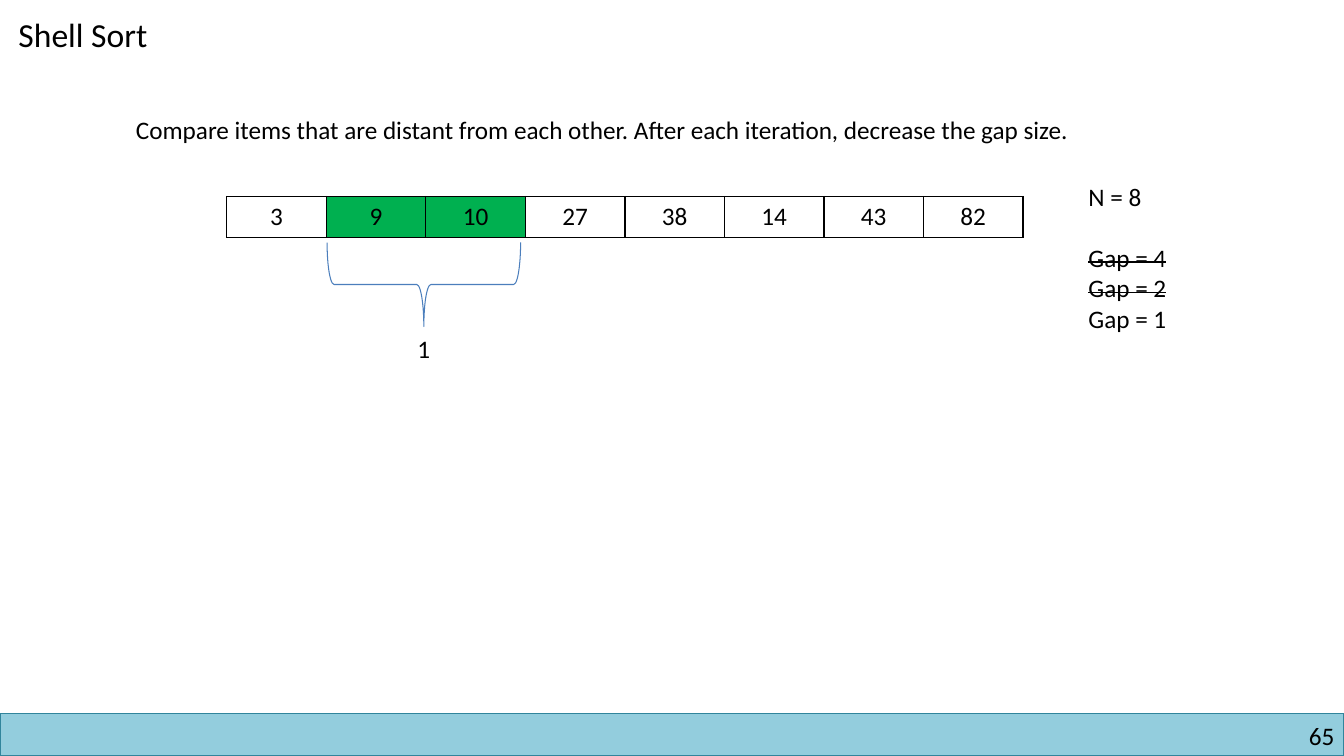
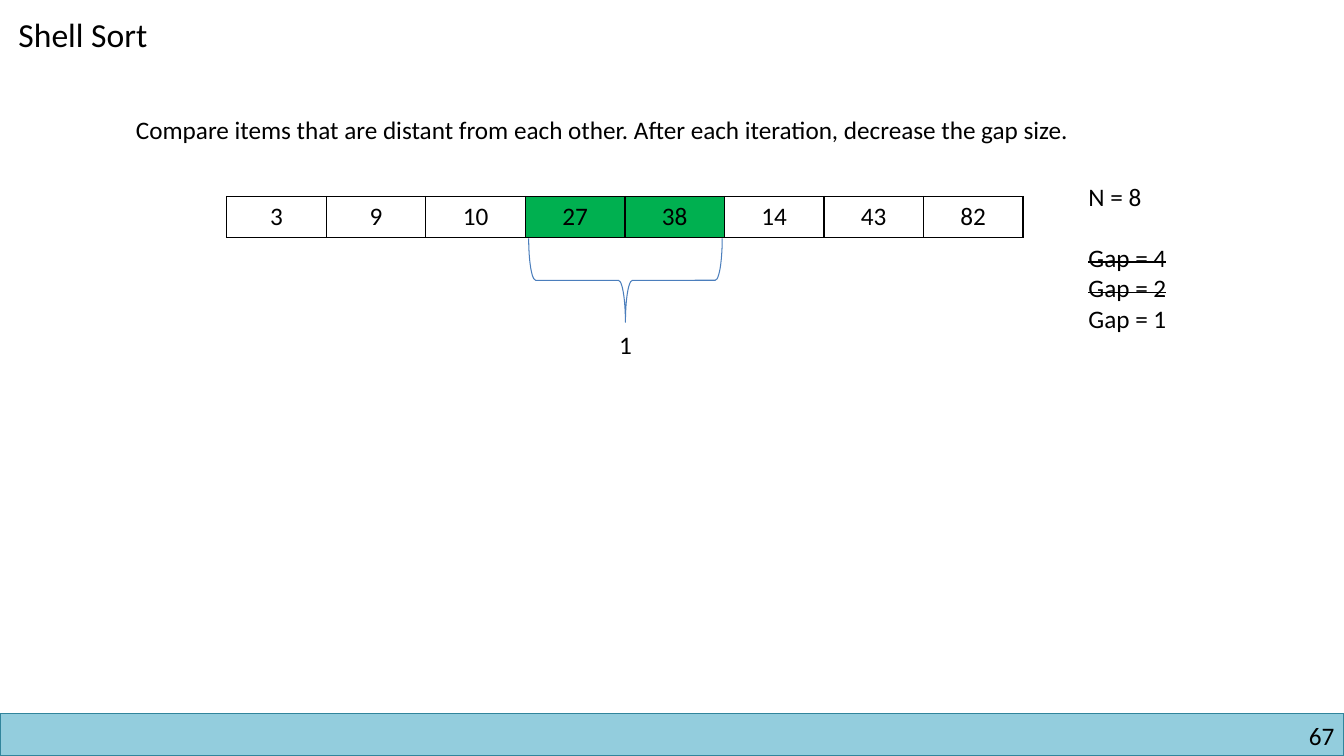
from dataclasses import dataclass
from lxml import etree
from pptx import Presentation
from pptx.dml.color import RGBColor
from pptx.enum.shapes import MSO_SHAPE
from pptx.enum.text import MSO_ANCHOR, PP_ALIGN
from pptx.oxml.ns import qn
from pptx.util import Pt

TITLE = "Shell Sort"
RULE = "Compare items that are distant from each other. After each iteration, decrease the gap size."
ITEMS = [3, 9, 10, 27, 38, 14, 43, 82]
NOTES = [("N = 8", False, 0), ("Gap = 4", True, 22), ("Gap = 2", True, 0), ("Gap = 1", False, 0)]
STEPS = [
    {"page": "65", "compared": (1, 2), "brace": (302.76, 173.2), "gap": "1"},
    {"page": "67", "compared": (3, 4), "brace": (446.76, 170.2), "gap": "1"},
]


@dataclass(frozen=True)
class Theme:
    font: str = "Calibri"
    title: int = 24
    body: int = 18
    text: str = "000000"
    cell: str = "FFFFFF"
    mark: str = "00B050"
    band: str = "93CDDD"
    band_line: str = "31859C"
    brace: str = "4B7EBC"


T = Theme()
W, H = 960, 540
BAND_H = 30.24
TABLE_X, TABLE_Y, CELL_W, CELL_H = 162, 140.4, 71.1, 29.5
BRACE_W, BRACE_H = 138.24, 60
LABEL_W, LABEL_H = 24.5, 29


def rgb(value):
    return RGBColor.from_string(value)


def style(p, size=T.body, align=PP_ALIGN.LEFT):
    p.alignment = align
    p.font.name = T.font
    p.font.size = Pt(size)
    p.font.color.rgb = rgb(T.text)


def outline(sp, color, width):
    sp.shadow.inherit = False
    sp.line.color.rgb = rgb(color)
    sp.line.width = Pt(width)


def add_text(slide, x, y, w, h, text, align=PP_ALIGN.LEFT, inset=True):
    tf = slide.shapes.add_textbox(Pt(x), Pt(y), Pt(w), Pt(h)).text_frame
    tf.word_wrap = True
    if not inset:
        tf.margin_left = tf.margin_right = tf.margin_top = tf.margin_bottom = 0
    tf.text = text
    for p in tf.paragraphs:
        style(p, align=align)
    return tf


def add_frame(slide, page):
    band = slide.shapes.add_shape(MSO_SHAPE.RECTANGLE, 0, Pt(H - BAND_H), Pt(W), Pt(BAND_H))
    band.fill.solid()
    band.fill.fore_color.rgb = rgb(T.band)
    outline(band, T.band_line, 1)
    add_text(slide, 732.2, 514.8, 221, 21.6, page, PP_ALIGN.RIGHT, inset=False)

    title = slide.shapes.title
    title.left, title.top, title.width, title.height = Pt(6), Pt(6), Pt(119.5), Pt(36)
    tf = title.text_frame
    tf.text = TITLE
    tf.vertical_anchor = MSO_ANCHOR.TOP
    style(tf.paragraphs[0], T.title)


def add_borders(cell):
    tc_pr = cell._tc.get_or_add_tcPr()
    for side in ("lnL", "lnR", "lnT", "lnB"):
        ln = etree.SubElement(tc_pr, qn(f"a:{side}"), w=str(Pt(1)))
        fill = etree.SubElement(ln, qn("a:solidFill"))
        etree.SubElement(fill, qn("a:srgbClr"), val=T.text)


def add_array(slide, compared):
    n = len(ITEMS)
    table = slide.shapes.add_table(
        1, n, Pt(TABLE_X), Pt(TABLE_Y), Pt(CELL_W * n), Pt(CELL_H)).table
    table.first_row = table.horz_banding = False
    for i, item in enumerate(ITEMS):
        table.columns[i].width = Pt(CELL_W)
        cell = table.cell(0, i)
        add_borders(cell)
        cell.fill.solid()
        cell.fill.fore_color.rgb = rgb(T.mark if i in compared else T.cell)
        cell.text = str(item)
        style(cell.text_frame.paragraphs[0], align=PP_ALIGN.CENTER)


def add_notes(slide):
    tf = add_text(slide, 770.4, 126, 80, 116.6, "\n".join(text for text, _, _ in NOTES))
    for p, (_, struck, space) in zip(tf.paragraphs, NOTES):
        p.space_before = Pt(space)
        if struck:
            p.runs[0]._r.get_or_add_rPr().set("strike", "sngStrike")


def add_brace(slide, center, top, gap):
    middle = top + BRACE_H / 2
    brace = slide.shapes.add_shape(
        MSO_SHAPE.LEFT_BRACE, Pt(center - BRACE_H / 2), Pt(middle - BRACE_W / 2),
        Pt(BRACE_H), Pt(BRACE_W))
    brace.rotation = 270
    brace.fill.background()
    outline(brace, T.brace, 0.75)
    add_text(slide, center - LABEL_W / 2, top + BRACE_H + 1.2, LABEL_W, LABEL_H,
             gap, PP_ALIGN.CENTER)


def main():
    prs = Presentation()
    prs.slide_width, prs.slide_height = Pt(W), Pt(H)
    for step in STEPS:
        slide = prs.slides.add_slide(prs.slide_layouts[5])
        add_frame(slide, step["page"])
        add_text(slide, 90, 78, 746, 29, RULE)
        add_array(slide, step["compared"])
        add_notes(slide)
        add_brace(slide, *step["brace"], step["gap"])
    prs.save("out.pptx")


if __name__ == "__main__":
    main()
